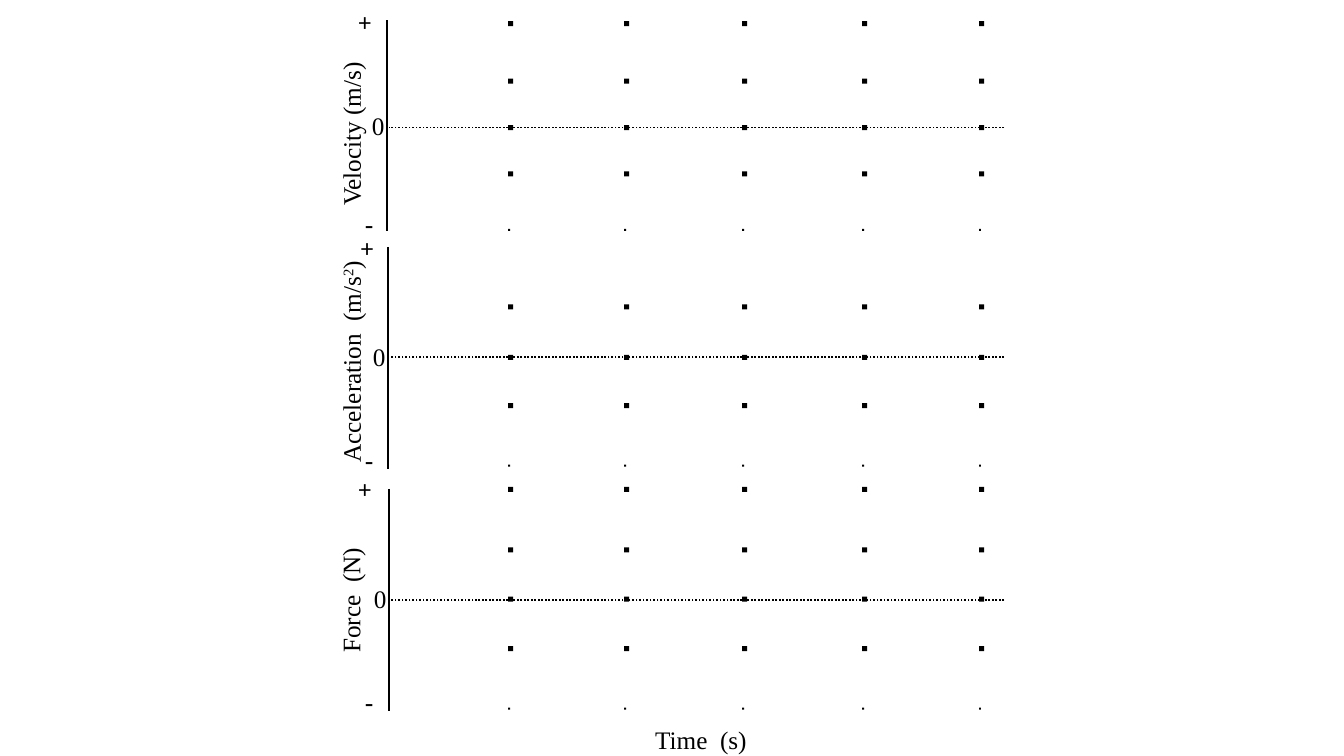
from dataclasses import dataclass

from lxml.etree import SubElement
from pptx import Presentation
from pptx.dml.color import RGBColor
from pptx.enum.dml import MSO_LINE
from pptx.enum.shapes import MSO_CONNECTOR, MSO_SHAPE
from pptx.enum.text import MSO_AUTO_SIZE
from pptx.oxml.ns import qn
from pptx.util import Inches, Pt

BLACK = RGBColor(0, 0, 0)
SERIF = "Times New Roman"
SANS = "Calibri"
AXIS_END = 9.96
DOT_COLUMNS = (5.04, 6.19, 7.36, 8.55, 9.71)
DOT_SIZE = 0.05
SPECK_SIZE = 0.02


@dataclass
class Graph:
    label: tuple       # (text, superscript) runs
    label_at: tuple    # left, top, width before rotation
    axis: tuple        # x, top, bottom
    plus_at: tuple
    zero_at: tuple
    minus_top: float
    zero_line: float
    dot_rows: tuple
    speck_row: float


GRAPHS = (
    Graph((("Velocity (m/s)", False),), (2.66, 1.12, 1.64),
          (3.84, 0.2, 2.29), (3.46, 0.01), (3.59, 1.05), 2.01,
          1.265, (0.21, 0.78, 1.24, 1.7), 2.27),
    Graph((("Acceleration  (m/s", False), ("2", True), (")", False)),
          (2.34, 3.35, 2.28),
          (3.85, 2.45, 4.65), (3.48, 2.26), (3.6, 3.34), 4.35,
          3.545, (3.02, 3.52, 4), 4.61),
    Graph((("Force  (N)", False),), (2.85, 5.75, 1.25),
          (3.86, 4.85, 7.05), (3.46, 4.65), (3.61, 5.74), 6.75,
          5.95, (4.83, 5.43, 5.92, 6.41), 7.02),
)


def add_label(shapes, runs, left, top, width, height=0.4, font=SERIF, size=18):
    box = shapes.add_textbox(Inches(left), Inches(top), Inches(width), Inches(height))
    frame = box.text_frame
    frame.word_wrap = False
    frame.auto_size = MSO_AUTO_SIZE.SHAPE_TO_FIT_TEXT
    para = frame.paragraphs[0]
    for text, superscript in runs:
        span = para.add_run()
        span.text = text
        span.font.name = font
        span.font.size = Pt(size)
        span.font.color.rgb = BLACK
        if superscript:
            span._r.get_or_add_rPr().set("baseline", "30000")
    return box


def add_line(shapes, x1, y1, x2, y2, dash=None):
    line = shapes.add_connector(MSO_CONNECTOR.STRAIGHT, Inches(x1), Inches(y1),
                                Inches(x2), Inches(y2))
    line.line.color.rgb = BLACK
    line.line.width = Pt(1.25)
    if dash:
        line.line.dash_style = dash
    SubElement(line._element.spPr, qn("a:effectLst"))


def add_dot_row(shapes, top, size):
    for left in DOT_COLUMNS:
        dot = shapes.add_shape(MSO_SHAPE.RECTANGLE, Inches(left), Inches(top),
                               Inches(size), Inches(size))
        dot.shadow.inherit = False
        dot.fill.solid()
        dot.fill.fore_color.rgb = BLACK
        dot.line.fill.background()


def add_graph(shapes, graph):
    # Axes
    x, top, bottom = graph.axis
    add_line(shapes, x, top, x, bottom)
    add_line(shapes, AXIS_END, graph.zero_line, x + 0.02, graph.zero_line,
             MSO_LINE.ROUND_DOT)

    # Axis title and marks
    add_label(shapes, graph.label, *graph.label_at).rotation = 270
    add_label(shapes, [("+", False)], *graph.plus_at, 0.33, font=SANS)
    add_label(shapes, [("-", False)], 3.52, graph.minus_top, 0.29, 0.44, SANS, 20)
    add_label(shapes, [("0", False)], *graph.zero_at, 0.33)

    # Grid dots
    for row in graph.dot_rows:
        add_dot_row(shapes, row, DOT_SIZE)
    add_dot_row(shapes, graph.speck_row, SPECK_SIZE)


def main():
    deck = Presentation()
    deck.slide_width = Inches(13.33)
    deck.slide_height = Inches(7.5)
    page = deck.slides.add_slide(deck.slide_layouts[6])

    # Three stacked graphs over one shared time axis
    shapes = page.shapes.add_group_shape().shapes
    for graph in GRAPHS:
        add_graph(shapes, graph)
    add_label(shapes, [("Time  (s)", False)], 6.4, 7.14, 1.12)

    deck.save("out.pptx")


if __name__ == "__main__":
    main()
